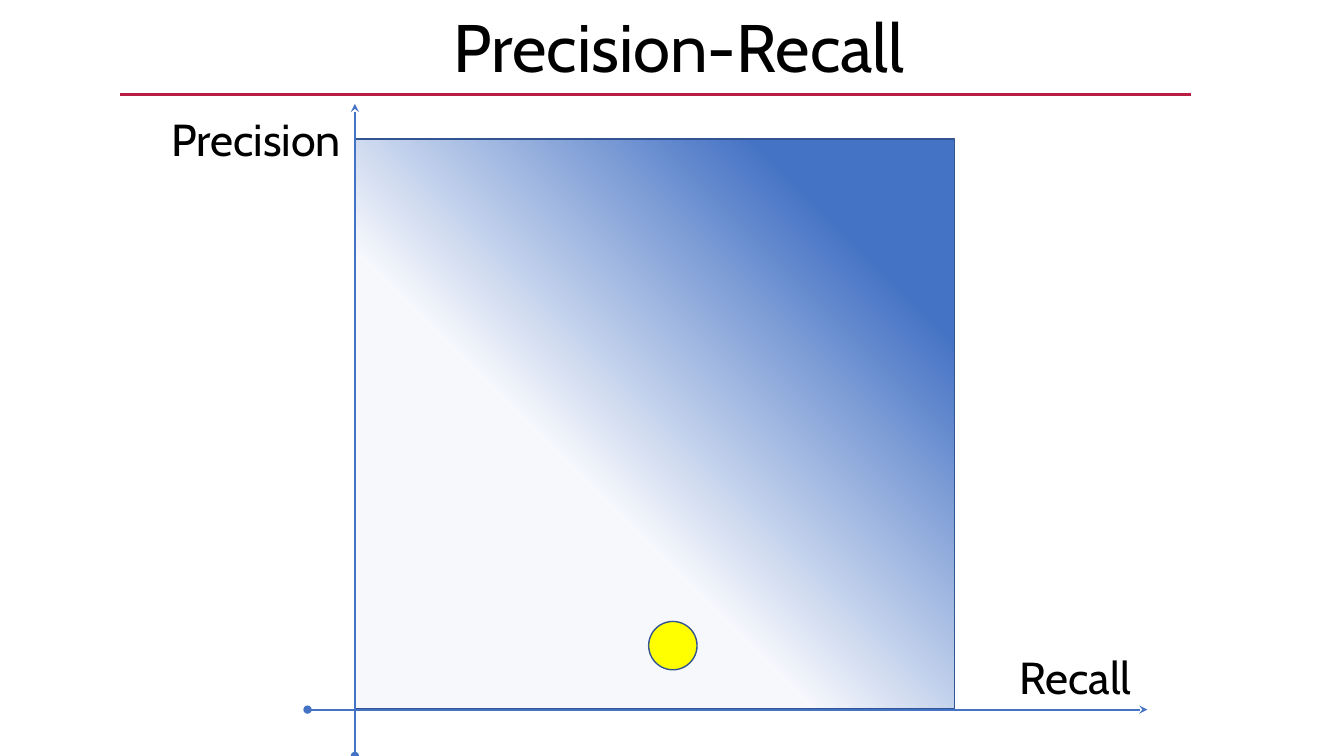
import pptx
import pptx.util
import pptx.dml.color
import pptx.enum.shapes
import pptx.enum.text
import pptx.oxml
import pptx.oxml.ns
import lxml.etree
import dataclasses

Inch = pptx.util.Inches
Kind = pptx.enum.shapes.MSO_SHAPE
Text = pptx.enum.text


@dataclasses.dataclass(frozen=True)
class Theme:
    font: str = "Cabin"
    head: int = 48
    label: int = 32
    ink: str = "000000"
    rule: str = "B71E42"
    axis: str = "4472C4"
    edge: str = "325491"
    dot: str = "FFFF00"
    fade: tuple = ((0.39, "F6F8FC"), (0.83, "4472C4"))


theme = Theme()
WIDE, HIGH = 13.33, 7.5
title = "Precision-Recall"
plot = {"left": 3.52, "top": 1.38, "width": 5.95, "height": 5.65}
base = plot["top"] + plot["height"] + 0.01
point = {"x": 0.53, "y": 0.1, "size": 0.48}
labels = [("Precision", 1.6, 1.06), ("Recall", 10.01, base - 0.64)]
lines = [
    ((1.19, 0.94), (11.81, 0.94), theme.rule, 2.5, {}),
    ((3.05, base), (11.38, base), theme.axis, 1.5,
     {"headEnd": "oval", "tailEnd": "stealth"}),
    ((plot["left"], 1.03), (plot["left"], HIGH), theme.axis, 1.5,
     {"headEnd": "stealth", "tailEnd": "oval"}),
]


def tint(code):
    return pptx.dml.color.RGBColor.from_string(code)


def apply(item, form):
    for name, value in form.items():
        setattr(item, name, value)


def write(shape, words, size, align, fit):
    frame = shape.text_frame
    frame.text = words
    apply(frame, {"word_wrap": True, "auto_size": fit,
                  "vertical_anchor": Text.MSO_ANCHOR.TOP})
    para = frame.paragraphs[0]
    para.alignment = align
    font = para.runs[0].font
    apply(font, {"name": theme.font, "size": pptx.util.Pt(size)})
    font.color.rgb = tint(theme.ink)


def stroke(line, code, width):
    line.color.rgb = tint(code)
    line.width = pptx.util.Pt(width)


def form(slide, kind, box):
    shape = slide.shapes.add_shape(kind, *map(Inch, box))
    shape.shadow.inherit = False
    stroke(shape.line, theme.edge, 1)
    return shape


def link(slide, start, end, code, width, tips):
    line = slide.shapes.add_connector(
        pptx.enum.shapes.MSO_CONNECTOR.STRAIGHT, *map(Inch, start + end))
    stroke(line.line, code, width)
    props = line._element.spPr
    pen = props.find(pptx.oxml.ns.qn("a:ln"))
    for tip, style in tips.items():
        lxml.etree.SubElement(pen, pptx.oxml.ns.qn("a:" + tip), type=style)
    lxml.etree.SubElement(props, pptx.oxml.ns.qn("a:effectLst"))


def main():
    deck = pptx.Presentation()
    apply(deck, {"slide_width": Inch(WIDE), "slide_height": Inch(HIGH)})
    slide = deck.slides.add_slide(deck.slide_layouts[5])

    area = form(slide, Kind.RECTANGLE, plot.values())
    area.fill.gradient()
    area.fill.gradient_angle = 45
    for stop, (place, code) in zip(area.fill.gradient_stops, theme.fade):
        stop.position = place
        stop.color.rgb = tint(code)

    head = slide.shapes.title
    apply(head, {"left": Inch(0.07), "top": 0,
                 "width": Inch(WIDE), "height": Inch(0.91)})
    write(head, title, theme.head, Text.PP_ALIGN.CENTER,
          Text.MSO_AUTO_SIZE.NONE)

    for line in lines:
        link(slide, *line)

    for words, left, top in labels:
        box = slide.shapes.add_textbox(*map(Inch, (left, top, 2.17, 0.64)))
        write(box, words, theme.label, Text.PP_ALIGN.LEFT,
              Text.MSO_AUTO_SIZE.SHAPE_TO_FIT_TEXT)

    size = point["size"]
    left = plot["left"] + point["x"] * plot["width"] - size / 2
    top = base - point["y"] * plot["height"] - size / 2 - 0.07
    dot = form(slide, Kind.OVAL, (left, top, size, size))
    dot.fill.solid()
    dot.fill.fore_color.rgb = tint(theme.dot)

    deck.save("out.pptx")


if __name__ == "__main__":
    main()
